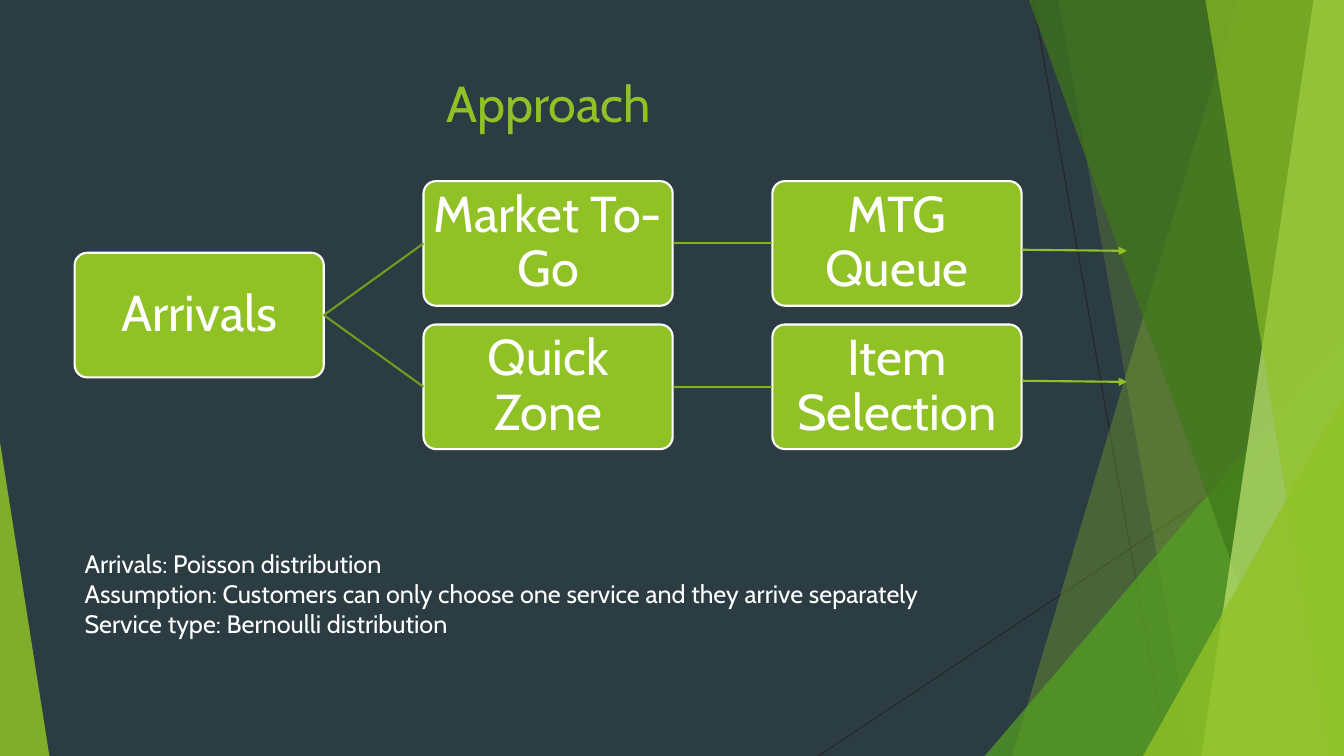
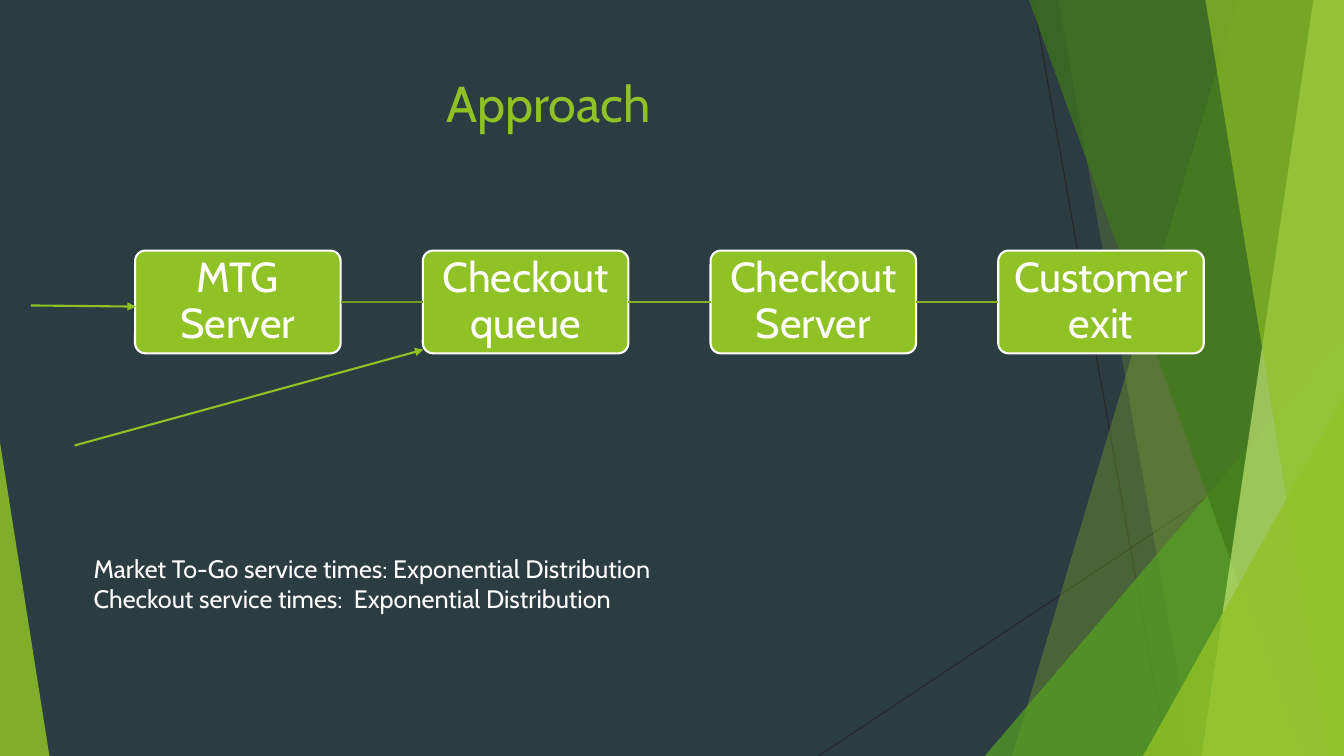
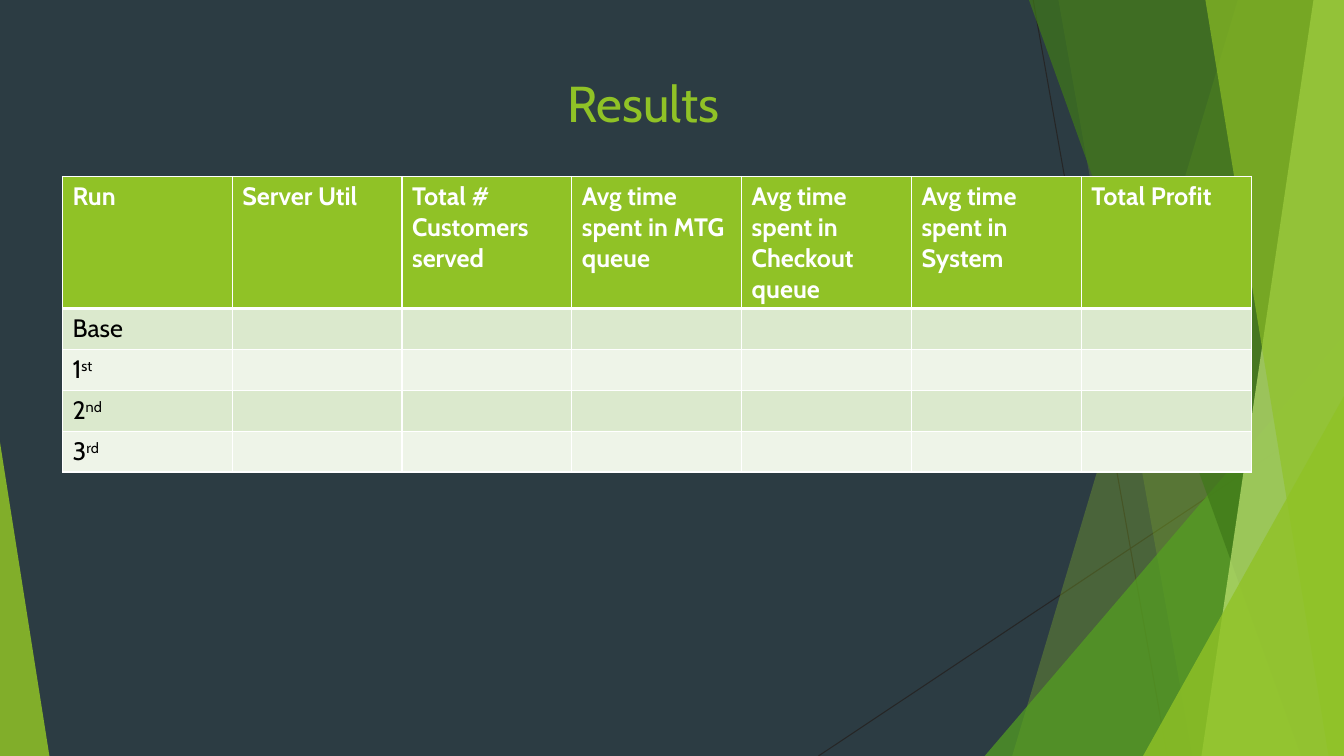
from dataclasses import dataclass

from lxml.etree import SubElement as Sub
from pptx import Presentation
from pptx.dml.color import RGBColor as Rgb
from pptx.enum.shapes import MSO_CONNECTOR as Conn, MSO_SHAPE as Kind
from pptx.enum.text import MSO_ANCHOR as Anchor, PP_ALIGN as Align
from pptx.oxml.ns import qn
from pptx.util import Pt


@dataclass(frozen=True)
class Theme:
    font: str = "Cabin"
    back: str = "2C3C43"
    lime: str = "90C226"
    leaf: str = "54A021"
    moss: str = "3F7819"
    pale: str = "C0E474"
    dark: str = "262626"
    fork: str = "739B1E"
    chain: str = "83B022"
    white: str = "FFFFFF"
    black: str = "000000"
    odd: str = "DBE9CD"
    even: str = "EEF4E8"
    head: int = 36
    body: int = 18
    small: int = 30
    wide: int = 960
    high: int = 540


class Deck:
    def __init__(self, theme):
        self.theme = theme
        self.file = Presentation()
        self.file.slide_width = Pt(theme.wide)
        self.file.slide_height = Pt(theme.high)
        self.paint(self.file.slide_master.background.fill, theme.back)
        self.slide = None

    def paint(self, fill, color):
        fill.solid()
        fill.fore_color.rgb = Rgb.from_string(color)

    def style(self, frame, size, color, align=Align.LEFT, bold=False):
        for para in frame.paragraphs:
            para.alignment = align
            for run in para.runs:
                font = run.font
                font.name = self.theme.font
                font.size = Pt(size)
                font.bold = bold
                font.color.rgb = Rgb.from_string(color)

    def page(self, title, left=53.3):
        t = self.theme
        self.slide = self.file.slides.add_slide(self.file.slide_layouts[6])
        self.line((738, 0), (833.8, t.high), t.dark, 0.75)
        self.line((t.wide, 290.2), (584.6, t.high), t.dark, 0.75)
        self.band(884.2, 723, t.lime, 30)
        self.band(756, 851.8, t.lime, 20)
        self.wedge(703.4, 239.8, 256.6, 1, t.leaf, 72)
        self.band(735, 929.5, t.moss, 70)
        self.band(938.2, 858.2, t.pale, 70)
        self.band(861, 949, t.lime, 65)
        self.wedge(816.5, 283, 143.5, 1, t.lime, 80)
        self.wedge(0, 316, 35.3, 0, t.lime, 85)
        self.text(title, left, 48.2, 677, 60, t.head, t.lime, Align.CENTER)

    def sheer(self, shape, color, alpha):
        shape.shadow.inherit = False
        shape.line.fill.background()
        self.paint(shape.fill, color)
        tint = shape._element.spPr.find(qn("a:solidFill"))[0]
        Sub(tint, qn("a:alpha"), val=str(alpha * 1000))

    def band(self, top, base, color, alpha):
        t = self.theme
        pen = self.slide.shapes.build_freeform(Pt(top), 0)
        ends = [(t.wide, 0), (t.wide, t.high), (base, t.high)]
        pen.add_line_segments([(Pt(x), Pt(y)) for x, y in ends])
        self.sheer(pen.convert_to_shape(), color, alpha)

    def wedge(self, left, top, width, peak, color, alpha):
        shape = self.slide.shapes.add_shape(
            Kind.ISOSCELES_TRIANGLE, Pt(left), Pt(top),
            Pt(width), Pt(self.theme.high - top))
        shape.adjustments[0] = peak
        self.sheer(shape, color, alpha)

    def text(self, words, left, top, width, height, size, color, align=Align.LEFT):
        box = self.slide.shapes.add_textbox(Pt(left), Pt(top), Pt(width), Pt(height))
        frame = box.text_frame
        frame.word_wrap = True
        frame.text = words
        self.style(frame, size, color, align)

    def note(self, lines, left, top, width):
        t = self.theme
        high = 7.2 + 22 * len(lines)
        self.text("\n".join(lines), left, top, width, high, t.body, t.white)

    def line(self, start, end, color, weight=1.5, arrow=False):
        wire = self.slide.shapes.add_connector(
            Conn.STRAIGHT, *[Pt(v) for v in (*start, *end)])
        wire.line.width = Pt(weight)
        wire.line.color.rgb = Rgb.from_string(color)
        if arrow:
            Sub(wire.line._get_or_add_ln(), qn("a:tailEnd"), type="triangle")
        Sub(wire._element.spPr, qn("a:effectLst"))
        return wire

    def arrow(self, start, end):
        self.line(start, end, self.theme.lime, arrow=True)

    def link(self, first, last, color):
        wire = self.line((0, 0), (0, 0), color)
        wire.begin_connect(first, 3)
        wire.end_connect(last, 1)

    def node(self, words, left, top, width, size):
        t = self.theme
        box = self.slide.shapes.add_shape(
            Kind.ROUNDED_RECTANGLE, Pt(left), Pt(top), Pt(width), Pt(width / 2))
        box.adjustments[0] = 0.1
        box.shadow.inherit = False
        self.paint(box.fill, t.lime)
        box.line.color.rgb = Rgb.from_string(t.white)
        box.line.width = Pt(1.5)
        frame = box.text_frame
        frame.word_wrap = True
        frame.vertical_anchor = Anchor.MIDDLE
        frame.margin_left = frame.margin_right = Pt(2)
        frame.margin_top = frame.margin_bottom = Pt(2)
        frame.text = words
        frame.paragraphs[0].line_spacing = 0.9
        self.style(frame, size, t.white, Align.CENTER)
        return box

    def edge(self, cell, base):
        props = cell._tc.get_or_add_tcPr()
        for side, weight in (("L", 1), ("R", 1), ("T", 1), ("B", base)):
            ln = Sub(props, qn("a:ln" + side), w=str(Pt(weight)))
            fill = Sub(ln, qn("a:solidFill"))
            Sub(fill, qn("a:srgbClr"), val=self.theme.white)

    def table(self, heads, rows, left, top, pitch, tall, short):
        t = self.theme
        count = len(heads)
        grid = self.slide.shapes.add_table(
            len(rows) + 1, count, Pt(left), Pt(top),
            Pt(pitch * count), Pt(tall + short * len(rows))).table
        grid.first_row = grid.horz_banding = False
        for col in grid.columns:
            col.width = Pt(pitch)
        for i, row in enumerate(grid.rows):
            row.height = Pt(short if i else tall)
            tint = (t.odd if i % 2 else t.even) if i else t.lime
            for cell in row.cells:
                self.edge(cell, 1 if i else 3)
                self.paint(cell.fill, tint)
        for i, head in enumerate(heads):
            frame = grid.cell(0, i).text_frame
            frame.text = head
            self.style(frame, t.body, t.white, bold=True)
        for i, (name, mark) in enumerate(rows, 1):
            frame = grid.cell(i, 0).text_frame
            frame.text = name
            if mark:
                run = frame.paragraphs[0].add_run()
                run.text = mark
                run._r.get_or_add_rPr().set("baseline", "30000")
            self.style(frame, t.body, t.black)


def routes(deck):
    t = deck.theme
    deck.page("Approach")
    left, top, width = 53.3, 129.4, 178
    step, drop = width * 1.4, 102.4
    root = deck.node("Arrivals", left, top + drop / 2, width, t.head)
    lanes = [("Market To-Go", "MTG Queue"), ("Quick Zone", "Item Selection")]
    for i, names in enumerate(lanes):
        first, last = [
            deck.node(name, left + step * j, top + drop * i, width, t.head)
            for j, name in enumerate(names, 1)]
        deck.link(root, first, t.fork)
        deck.link(first, last, t.chain)
    deck.note(["Arrivals: Poisson distribution",
               "Assumption: Customers can only choose one service and they arrive separately",
               "Service type: Bernoulli distribution"], 53.3, 388, 677)
    for y in (178.4, 272):
        deck.arrow((730, y), (805, y + 0.8))


def checkout(deck):
    t = deck.theme
    deck.page("Approach")
    left, top, width = 96.5, 179, 146.8
    names = ["MTG Server", "Checkout queue", "Checkout Server", "Customer exit"]
    nodes = [deck.node(name, left + width * 1.4 * i, top, width, t.small)
             for i, name in enumerate(names)]
    for i, pair in enumerate(zip(nodes, nodes[1:])):
        deck.link(*pair, t.chain if i else t.fork)
    deck.note(["Market To-Go service times: Exponential Distribution",
               "Checkout service times:  Exponential Distribution"], 59.8, 391.7, 797)
    deck.arrow((22, 218.2), (97, 219))
    deck.arrow((53.3, 318.2), (302.4, 249.8))


def results(deck):
    deck.page("Results", 121)
    heads = ["Run", "Server Util", "Total # Customers served",
             "Avg time spent in MTG queue", "Avg time spent in Checkout queue",
             "Avg time spent in System", "Total Profit"]
    rows = [("Base", ""), ("1", "st"), ("2", "nd"), ("3", "rd")]
    deck.table(heads, rows, 44.6, 126, 121.3, 94.4, 29.2)


def main():
    deck = Deck(Theme())
    for build in (routes, checkout, results):
        build(deck)
    deck.file.save("out.pptx")


if __name__ == "__main__":
    main()
